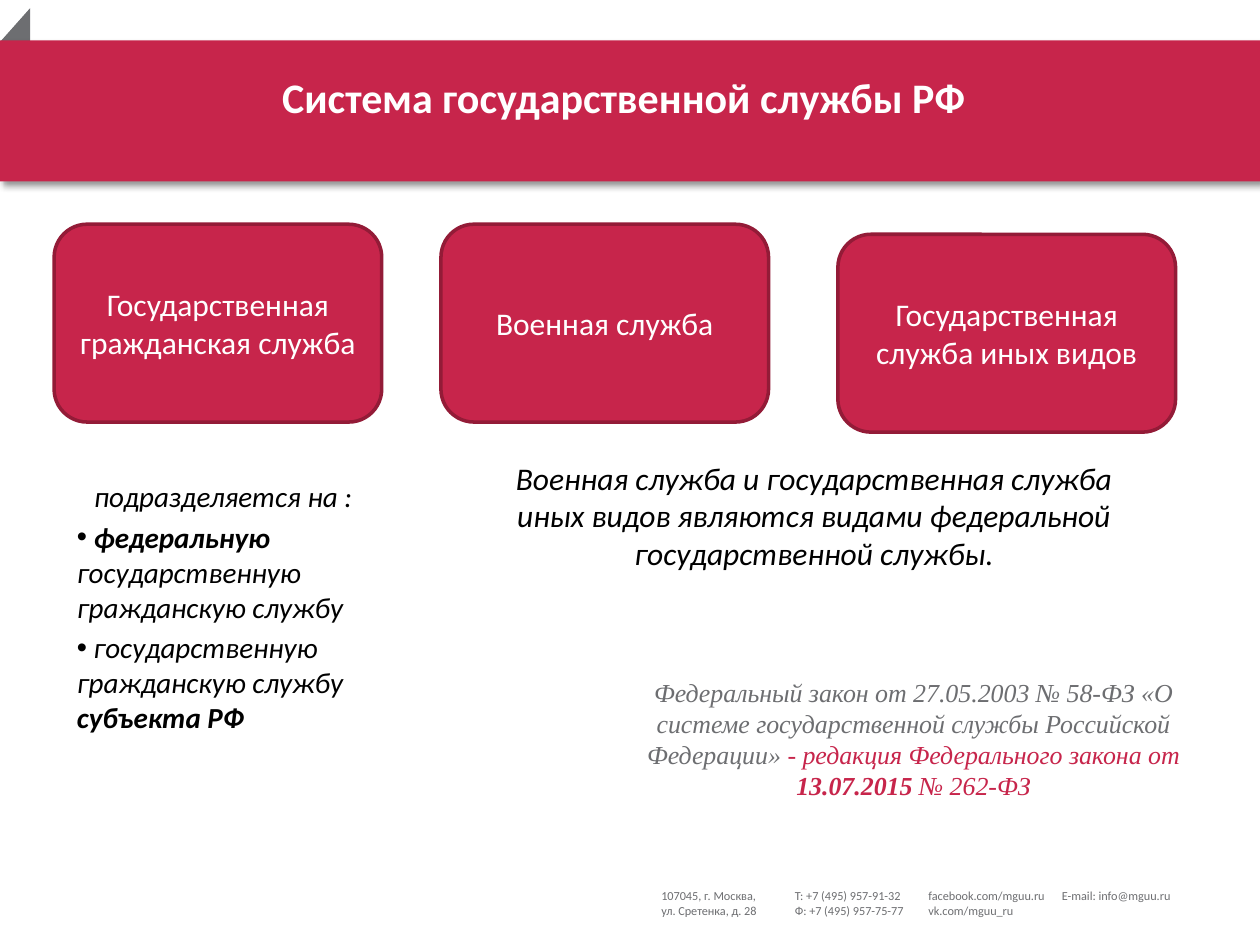
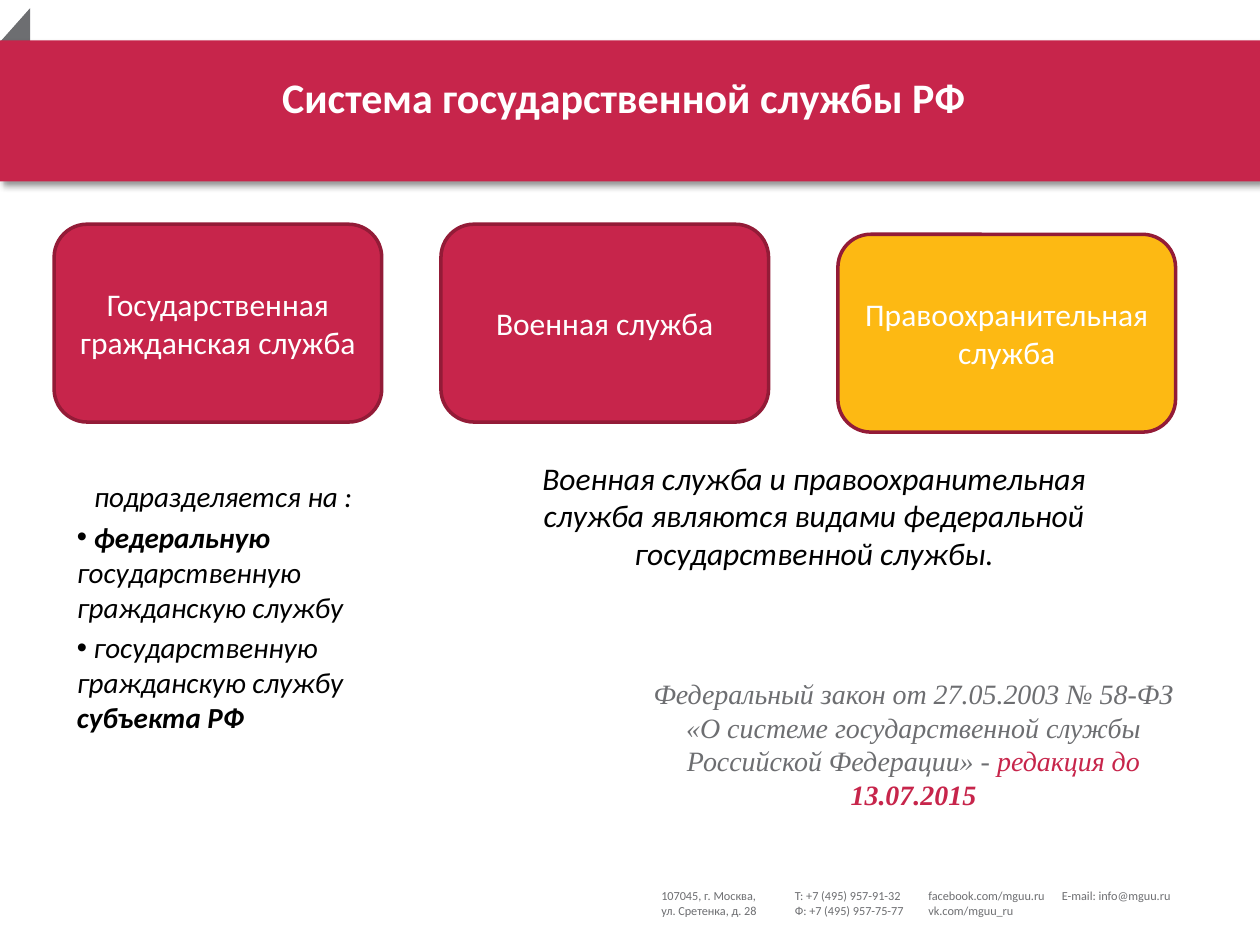
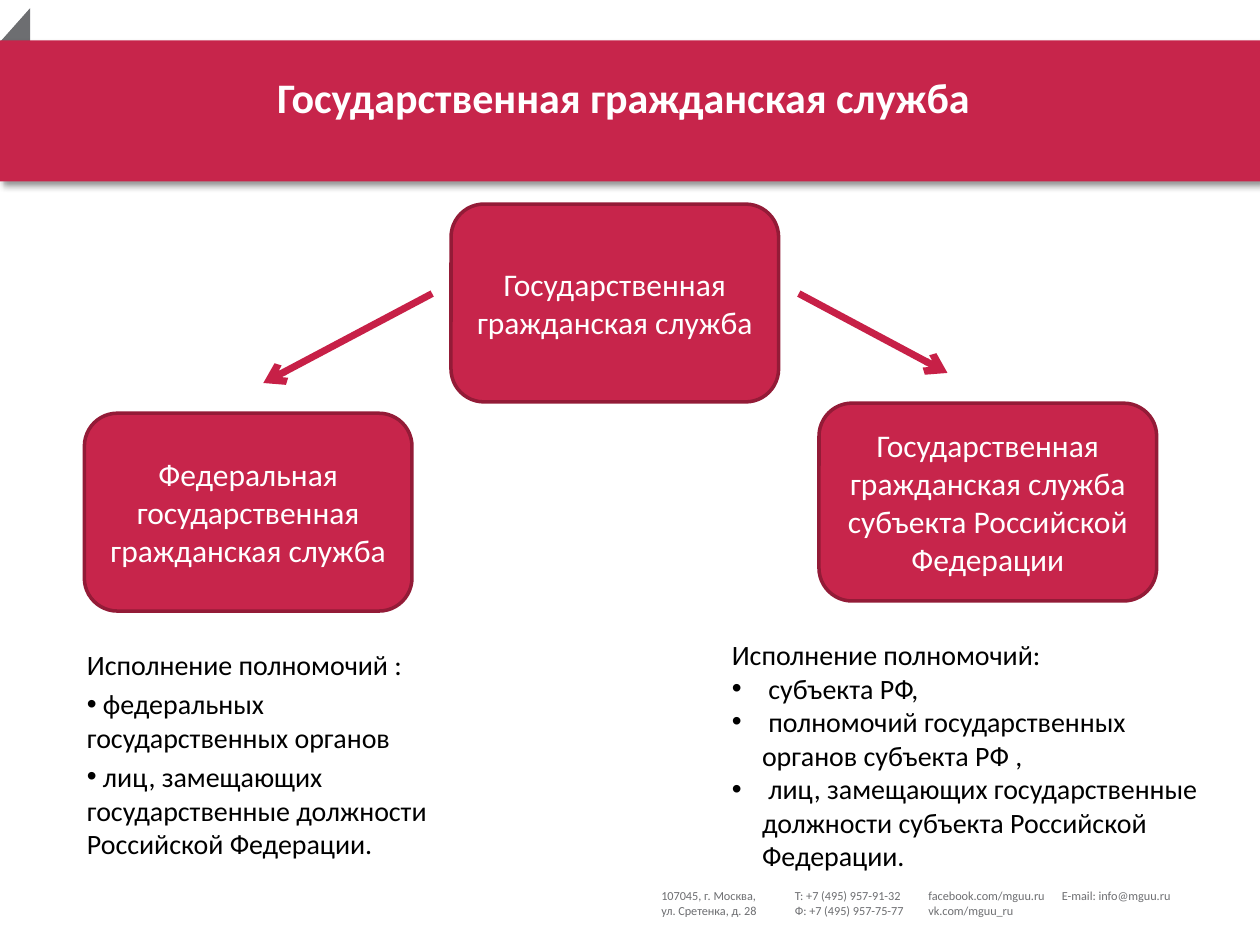
from dataclasses import dataclass
from typing import NamedTuple

from lxml.etree import SubElement
from pptx import Presentation
from pptx.dml.color import RGBColor
from pptx.enum.shapes import MSO_CONNECTOR as Connector, MSO_SHAPE as Preset
from pptx.enum.text import MSO_ANCHOR as Anchor, MSO_AUTO_SIZE as AutoSize, PP_ALIGN as Align
from pptx.oxml.ns import qn
from pptx.util import Pt

PX = 9144  # EMU in one px, 100 px to the inch
COLORS = {
    "crimson": "C7254B", "dark": "931B37", "arrow": "C72047", "amber": "FDB913",
    "gray": "6D6E71", "black": "000000", "white": "FFFFFF",
}


class Area(NamedTuple):
    left: int
    top: int
    width: int
    height: int

    def emu(self) -> list[int]:
        return [side * PX for side in self]


class Span(NamedTuple):
    text: str
    color: str | None = None
    bold: bool | None = None


@dataclass(frozen=True)
class Style:
    size: float
    color: str = "black"
    font: str = "Calibri"
    bold: bool = False
    italic: bool = False
    align: Align = Align.LEFT
    gap: float = 0  # points between paragraphs


@dataclass(frozen=True)
class Line:
    spans: tuple[Span, ...]
    bullet: bool = False
    hanging: int = 0
    align: Align | None = None


@dataclass(frozen=True)
class Card:
    area: Area
    text: str
    fill: str = "crimson"


class Arrow(NamedTuple):
    x1: int
    y1: int
    x2: int
    y2: int


TITLE = Style(24, "white", bold=True, align=Align.CENTER)
CARD = Style(18, "white", align=Align.CENTER)
KINDS = Style(16.6, italic=True, gap=3.3)
REMARK = Style(18, italic=True, align=Align.CENTER)
POWERS = Style(16, gap=3.2)
POWERS_TIGHT = Style(16)
FOOTER = Style(7, "gray")

TITLE_AREA = Area(20, 52, 950, 92)
KINDS_AREA = Area(51, 375, 252, 189)
REMARK_AREA = Area(390, 359, 512, 110)
LAW_AREA = Area(500, 532, 450, 110)

FOOTER_COLUMNS = (
    ("107045, г. Москва,", "ул. Сретенка, д. 28"),
    ("Т: +7 (495) 957-91-32", "Ф: +7 (495) 957-75-77"),
    ("facebook.com/mguu.ru", "vk.com/mguu_ru"),
    ("E-mail: info@mguu.ru",),
)


def rgb(name: str) -> RGBColor:
    return RGBColor.from_string(COLORS[name])


def plain(text: str, **options) -> Line:
    return Line((Span(text),), **options)


def law_style(size: float) -> Style:
    return Style(size, "gray", "Times New Roman", italic=True, align=Align.CENTER)


def set_bullet(para, line: Line) -> None:
    props = para._p.get_or_add_pPr()
    props.set("marL", str(line.hanging * PX))
    props.set("indent", str(-line.hanging * PX))
    if line.bullet:
        SubElement(props, qn("a:buFont")).set("typeface", "Arial")
        SubElement(props, qn("a:buChar")).set("char", "•")
    else:
        SubElement(props, qn("a:buNone"))


def write(frame, lines: list[Line], style: Style) -> None:
    frame.word_wrap = True
    frame.auto_size = AutoSize.NONE
    for index, line in enumerate(lines):
        para = frame.add_paragraph() if index else frame.paragraphs[0]
        set_bullet(para, line)
        para.alignment = line.align or style.align
        para.space_before = Pt(style.gap if index else 0)
        font = para.font
        font.name, font.size = style.font, Pt(style.size)
        font.bold, font.italic = style.bold, style.italic
        font.color.rgb = rgb(style.color)
        for span in line.spans:
            run = para.add_run()
            run.text = span.text
            if span.color:
                run.font.color.rgb = rgb(span.color)
            if span.bold is not None:
                run.font.bold = span.bold


def fill_placeholder(box, area: Area, lines: list[Line], style: Style) -> None:
    box.left, box.top, box.width, box.height = area.emu()
    box.text_frame.vertical_anchor = Anchor.TOP
    write(box.text_frame, lines, style)


def add_text(page, area: Area, lines: list[Line], style: Style):
    box = page.shapes.add_textbox(*area.emu())
    write(box.text_frame, lines, style)
    return box


def add_block(page, preset: Preset, area: Area, fill: str):
    block = page.shapes.add_shape(preset, *area.emu())
    block.shadow.inherit = False
    block.fill.solid()
    block.fill.fore_color.rgb = rgb(fill)
    block.line.fill.background()
    return block


def add_card(page, card: Card) -> None:
    box = add_block(page, Preset.ROUNDED_RECTANGLE, card.area, card.fill)
    box.line.color.rgb = rgb("dark")
    box.line.width = Pt(2)
    box.text_frame.vertical_anchor = Anchor.MIDDLE
    write(box.text_frame, [plain(card.text)], CARD)


def add_arrow(page, arrow: Arrow) -> None:
    link = page.shapes.add_connector(Connector.STRAIGHT, *[side * PX for side in arrow])
    link.line.color.rgb = rgb("arrow")
    link.line.width = Pt(4)
    SubElement(link.line._get_or_add_ln(), qn("a:tailEnd")).set("type", "arrow")
    SubElement(link._element.spPr, qn("a:effectLst"))


def add_band_shadow(band) -> None:
    effects = band._element.spPr.find(qn("a:effectLst"))
    shadow = SubElement(effects, qn("a:outerShdw"), blurRad=str(Pt(4)), dist=str(Pt(3)),
                        dir="2700000", algn="tl", rotWithShape="0")
    color = SubElement(shadow, qn("a:srgbClr"), val=COLORS["black"])
    SubElement(color, qn("a:alpha"), val="40000")


def move_frame_to_layout(page) -> None:
    """Draw the corner, band and footer, then hand them to the layout."""
    corner = add_block(page, Preset.RIGHT_TRIANGLE, Area(7, 13, 34, 38), "gray")
    corner.rotation = 41.6
    band = add_block(page, Preset.RECTANGLE, Area(0, 32, 1000, 112), "crimson")
    add_band_shadow(band)
    parts = [corner, band]
    for column, texts in enumerate(FOOTER_COLUMNS):
        area = Area(515 + 106 * column, 700, 126, 45)
        parts.append(add_text(page, area, [plain(text) for text in texts], FOOTER))
    for part in parts:
        page.slide_layout.shapes._spTree.append(part._element)


def add_page(deck, title: str, body_area: Area, body: list[Line], style: Style):
    page = deck.slides.add_slide(deck.slide_layouts[1])
    if len(deck.slides) == 1:
        move_frame_to_layout(page)
    fill_placeholder(page.shapes.title, TITLE_AREA, [plain(title)], TITLE)
    fill_placeholder(page.placeholders[1], body_area, body, style)
    return page


def add_system_page(deck, third: Card, remark: str, law: Line, law_size: float) -> None:
    kinds = [
        plain("подразделяется на :", align=Align.CENTER),
        Line((Span(" "), Span("федеральную", bold=True),
              Span(" государственную гражданскую службу")), bullet=True),
        Line((Span(" государственную гражданскую службу "),
              Span("субъекта РФ", bold=True)), bullet=True),
    ]
    page = add_page(deck, "Система государственной службы РФ", KINDS_AREA, kinds, KINDS)
    cards = (
        Card(Area(43, 178, 260, 157), "Государственная гражданская служба"),
        Card(Area(350, 178, 260, 157), "Военная служба"),
        third,
    )
    for card in cards:
        add_card(page, card)
    add_text(page, REMARK_AREA, [plain(remark)], REMARK)
    add_text(page, LAW_AREA, [law], law_style(law_size))


def add_civil_page(deck) -> None:
    federal = [
        plain("Исполнение полномочий :"),
        plain(" федеральных государственных органов", bullet=True),
        plain(" лиц, замещающих государственные должности Российской Федерации.", bullet=True),
    ]
    page = add_page(deck, "Государственная гражданская служба",
                    Area(59, 509, 315, 189), federal, POWERS)
    cards = (
        Card(Area(358, 162, 260, 157), "Государственная гражданская служба"),
        Card(Area(67, 328, 260, 157), "Федеральная государственная гражданская служба"),
        Card(Area(650, 320, 268, 157),
             "Государственная гражданская служба субъекта Российской Федерации"),
    )
    for card in cards:
        add_card(page, card)
    regional = [plain("Исполнение полномочий:")]
    for text in (" субъекта РФ,",
                 " полномочий государственных органов субъекта РФ ,",
                 " лиц, замещающих государственные должности субъекта Российской Федерации."):
        regional.append(plain(text, bullet=True, hanging=24))
    add_text(page, Area(571, 501, 394, 189), regional, POWERS_TIGHT)
    for arrow in (Arrow(634, 233, 752, 296), Arrow(343, 233, 209, 304)):
        add_arrow(page, arrow)


def main() -> None:
    deck = Presentation()
    deck.slide_width, deck.slide_height = 1000 * PX, 750 * PX
    third_area = Area(665, 186, 268, 157)
    law = ("Федеральный закон от 27.05.2003 № 58-ФЗ "
           "«О системе государственной службы Российской Федерации» ")

    # Current wording of the law
    add_system_page(
        deck,
        Card(third_area, "Государственная служба иных видов"),
        "Военная служба и государственная служба иных видов являются видами "
        "федеральной государственной службы.",
        Line((Span(law), Span("- редакция Федерального закона от ", "crimson"),
              Span("13.07.2015", "crimson", True), Span(" № 262-ФЗ", "crimson"))),
        14.8,
    )
    # Earlier wording of the law
    add_system_page(
        deck,
        Card(third_area, "Правоохранительная служба", "amber"),
        "Военная служба и правоохранительная служба являются видами "
        "федеральной государственной службы.",
        Line((Span(law + "- "), Span("редакция до ", "crimson"),
              Span("13.07.2015", "crimson", True))),
        16,
    )
    # Levels of the civil service
    add_civil_page(deck)
    deck.save("out.pptx")


if __name__ == "__main__":
    main()
